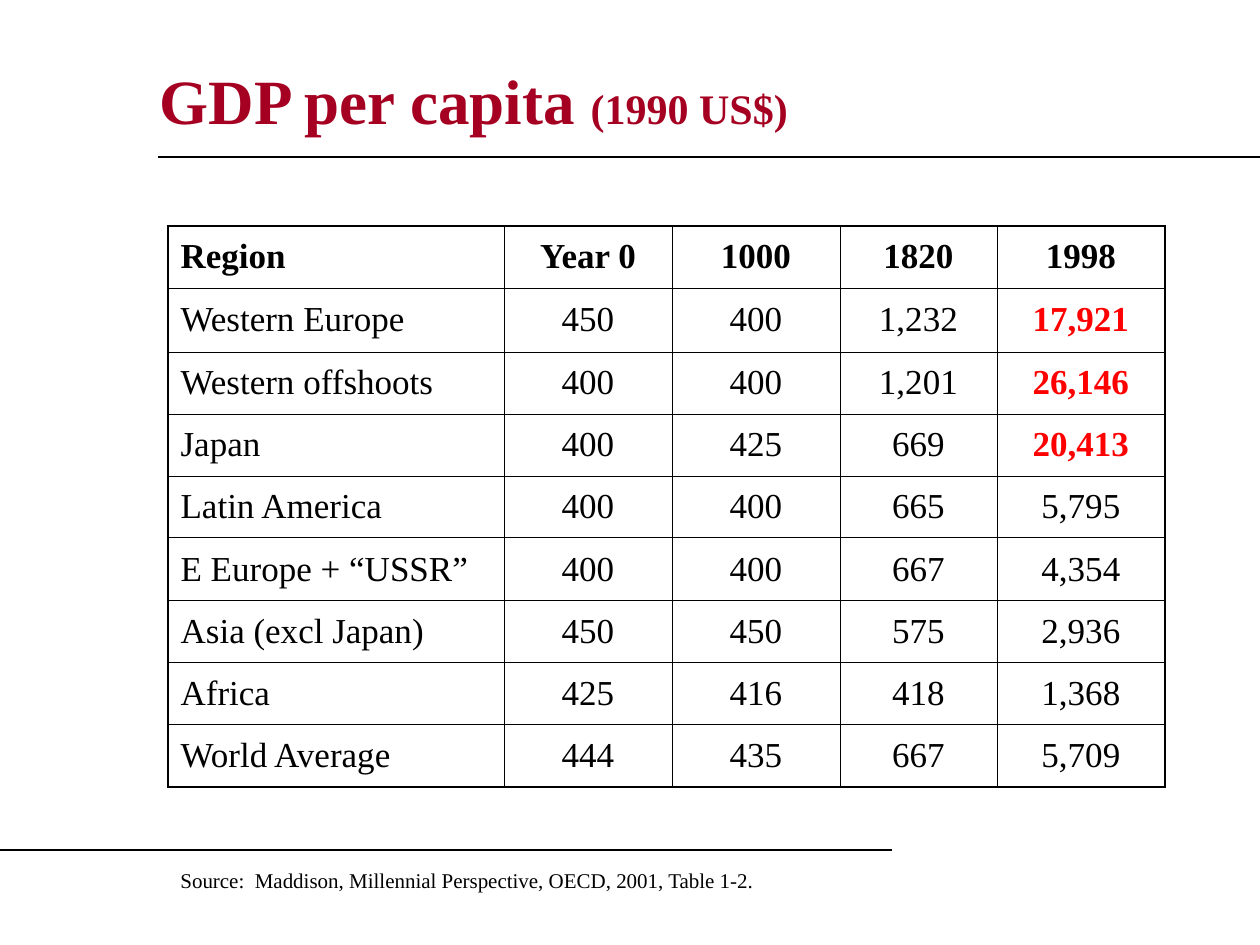
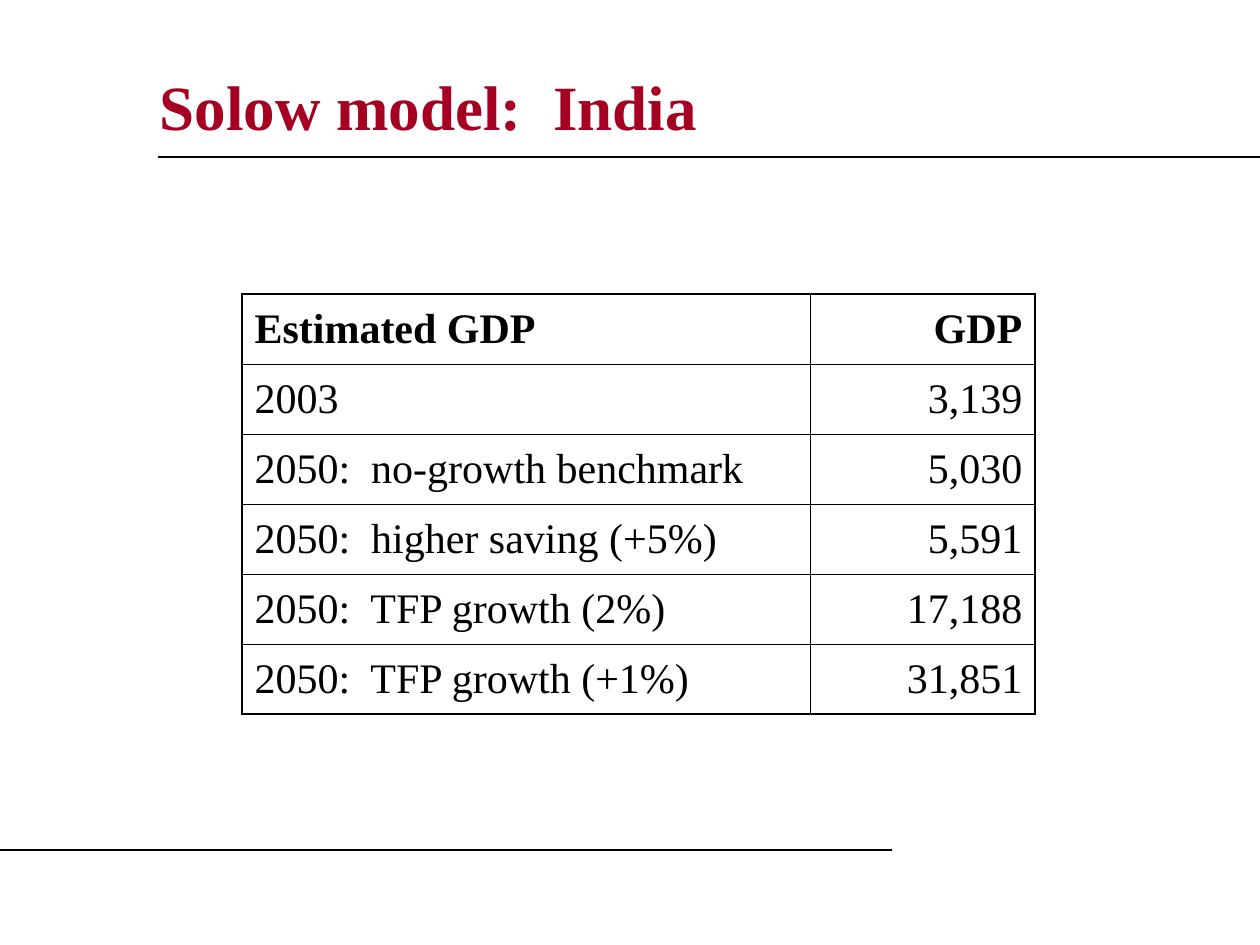
from lxml.etree import SubElement
from pptx import Presentation
from pptx.dml.color import RGBColor
from pptx.enum.shapes import MSO_CONNECTOR
from pptx.enum.text import MSO_ANCHOR, MSO_AUTO_SIZE, PP_ALIGN
from pptx.oxml import parse_xml
from pptx.oxml.ns import nsdecls, qn
from pptx.util import Pt

EMU_PER_PX = 914400 / 126
SLIDE_WIDTH, SLIDE_HEIGHT = 1260, 945
TITLE_ONLY_LAYOUT = 5
FONT = "Times New Roman"
COLORS = {"title": "A50021", "text": "000000", "line": "000000", "highlight": "FF0000"}
OUTER_BORDER, INNER_BORDER = Pt(1.08), Pt(0.45)

GDP_ROWS = [
    ("Region", "Year 0", "1000", "1820", "1998"),
    ("Western Europe", "450", "400", "1,232", "17,921"),
    ("Western offshoots", "400", "400", "1,201", "26,146"),
    ("Japan", "400", "425", "669", "20,413"),
    ("Latin America", "400", "400", "665", "5,795"),
    ("E Europe + “USSR”", "400", "400", "667", "4,354"),
    ("Asia (excl Japan)", "450", "450", "575", "2,936"),
    ("Africa", "425", "416", "418", "1,368"),
    ("World Average", "444", "435", "667", "5,709"),
]
RICHEST_IN_1998 = {(row, 4) for row in (1, 2, 3)}

INDIA_ROWS = [
    ("Estimated GDP", "GDP"),
    ("2003", "3,139"),
    ("2050:  no-growth benchmark", "5,030"),
    ("2050:  higher saving (+5%)", "5,591"),
    ("2050:  TFP growth (2%)", "17,188"),
    ("2050:  TFP growth (+1%)", "31,851"),
]


def px(length):
    return round(length * EMU_PER_PX)


def add_run(paragraph, text, size, color="text", bold=False):
    run = paragraph.add_run()
    run.text = text
    run.font.name = FONT
    run.font.size = Pt(size)
    run.font.bold = bold
    run.font.color.rgb = RGBColor.from_string(COLORS[color])


def add_rule(slide, left, right, y):
    rule = slide.shapes.add_connector(
        MSO_CONNECTOR.STRAIGHT, px(left), px(y), px(right), px(y))
    rule.line.color.rgb = RGBColor.from_string(COLORS["line"])
    rule.line.width = Pt(0.75)
    SubElement(rule._element.spPr, qn("a:effectLst"))


def add_titled_slide(presentation, box, title_runs):
    """Add a slide with its title runs, given as (text, size), and both rules."""
    slide = presentation.slides.add_slide(presentation.slide_layouts[TITLE_ONLY_LAYOUT])
    title = slide.shapes.title
    title.left, title.top, title.width, title.height = map(px, box)
    frame = title.text_frame
    frame.auto_size = MSO_AUTO_SIZE.NONE
    frame.vertical_anchor = MSO_ANCHOR.MIDDLE
    paragraph = frame.paragraphs[0]
    paragraph.alignment = PP_ALIGN.LEFT
    for text, size in title_runs:
        add_run(paragraph, text, size, "title", bold=True)
    add_rule(slide, 158, SLIDE_WIDTH, 157)
    add_rule(slide, 0, 892, 850)
    return slide


def set_borders(cell, outer_sides):
    properties = cell._tc.get_or_add_tcPr()
    for position, side in enumerate("LRTB"):
        width = OUTER_BORDER if side in outer_sides else INNER_BORDER
        properties.insert(position, parse_xml(
            f'<a:ln{side} {nsdecls("a")} w="{width}"><a:solidFill>'
            f'<a:srgbClr val="{COLORS["line"]}"/></a:solidFill></a:ln{side}>'))


def add_data_table(slide, left, top, widths, heights, rows, size, space,
                   number_alignment, highlighted=()):
    frame = slide.shapes.add_table(len(rows), len(widths), px(left), px(top),
                                   px(sum(widths)), px(sum(heights)))
    table = frame.table
    table.first_row = table.horz_banding = False
    for column, width in zip(table.columns, widths):
        column.width = px(width)
    for row, height in zip(table.rows, heights):
        row.height = px(height)

    last_row, last_column = len(rows) - 1, len(widths) - 1
    for i, values in enumerate(rows):
        for j, value in enumerate(values):
            cell = table.cell(i, j)
            cell.fill.background()
            cell.vertical_anchor = MSO_ANCHOR.MIDDLE
            edges = {"L": j == 0, "R": j == last_column, "T": i == 0, "B": i == last_row}
            set_borders(cell, [side for side, is_outer in edges.items() if is_outer])
            paragraph = cell.text_frame.paragraphs[0]
            paragraph.alignment = number_alignment if j else PP_ALIGN.LEFT
            paragraph.space_before = Pt(space)
            is_highlighted = (i, j) in highlighted
            add_run(paragraph, value, size, "highlight" if is_highlighted else "text",
                    bold=i == 0 or is_highlighted)


def add_source_note(slide, box, text):
    note = slide.shapes.add_textbox(*map(px, box))
    note.text_frame.word_wrap = True
    paragraph = note.text_frame.paragraphs[0]
    paragraph.space_before = Pt(7.5)
    add_run(paragraph, text, 12)


def build_gdp_slide(presentation):
    slide = add_titled_slide(presentation, (147, 63, 998, 73),
                             [("GDP per capita ", 36), ("(1990 US$)", 24)])
    add_data_table(slide, 168, 226, [336, 168, 168, 157, 168],
                   [62, 64, 62, 62, 62, 63, 62, 62, 62], GDP_ROWS, 20, 5,
                   PP_ALIGN.CENTER, RICHEST_IN_1998)
    add_source_note(slide, (168, 861, 640, 38),
                    "Source:  Maddison, Millennial Perspective, OECD, 2001, Table 1-2.")


def build_india_slide(presentation):
    slide = add_titled_slide(presentation, (147, 53, 1018, 105),
                             [("Solow model:  India", 36)])
    add_data_table(slide, 242, 294, [568, 225], [70] * len(INDIA_ROWS),
                   INDIA_ROWS, 24, 6, PP_ALIGN.RIGHT)


def main():
    presentation = Presentation()
    presentation.slide_width = px(SLIDE_WIDTH)
    presentation.slide_height = px(SLIDE_HEIGHT)
    build_gdp_slide(presentation)
    build_india_slide(presentation)
    presentation.save("out.pptx")


if __name__ == "__main__":
    main()
